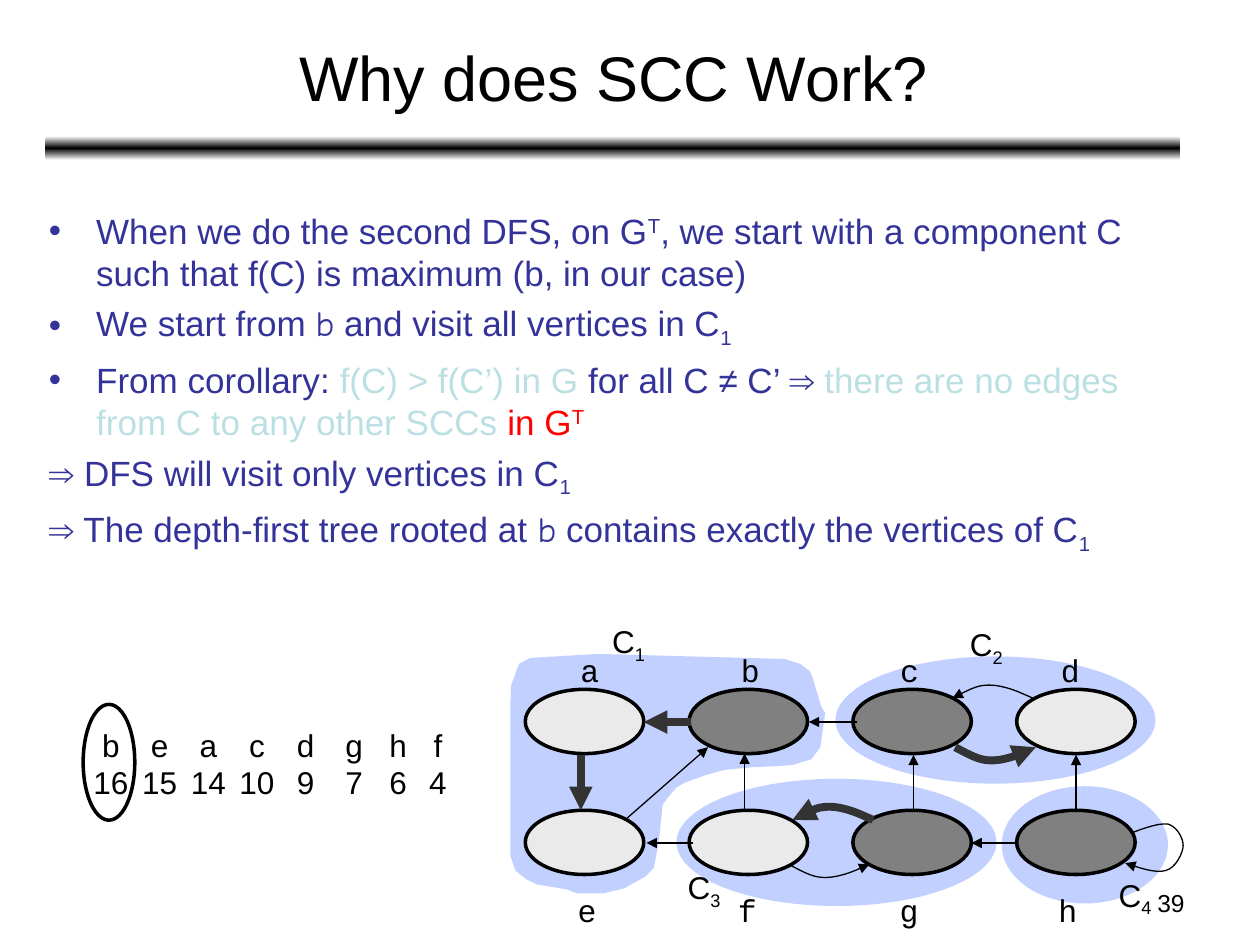
import copy
from dataclasses import dataclass
from typing import NamedTuple

import lxml.etree
import pptx
import pptx.dml.color
import pptx.enum.shapes
import pptx.enum.text
import pptx.oxml.ns
import pptx.util

Pt = pptx.util.Pt
qn = pptx.oxml.ns.qn
Kind = pptx.enum.shapes.MSO_SHAPE
Align = pptx.enum.text.PP_ALIGN


@dataclass(frozen=True)
class Theme:
    black: str = "000000"
    white: str = "FFFFFF"
    navy: str = "333399"
    pale: str = "BBE0E3"
    red: str = "FF0000"
    cloud: str = "3366FF"
    dark: str = "808080"
    light: str = "EAEAEA"
    bold_ink: str = "333333"
    sans: str = "Arial"
    mono: str = "Courier New"
    comic: str = "Comic Neue"
    title: float = 36
    body: float = 20
    label: float = 18
    page: float = 14
    thin: float = 0.75
    ring: float = 2
    thick: float = 4.5


LOOK = Theme()


class Run(NamedTuple):
    text: str
    tint: str | None = None
    base: int = 0  # shift from the baseline, in percent
    font: str | None = None


class Node(NamedTuple):
    name: str
    col: int
    row: int
    fill: str
    name_x: float


class Edge(NamedTuple):
    start: tuple[float, float]
    end: tuple[float, float]
    bold: bool = False


class Arc(NamedTuple):
    x: float
    y: float
    up: bool
    left: bool
    bold: bool = False


SUB = Run("1", base=-25)
SUPER = Run("T", base=30)
B_RUN = Run("b", font=LOOK.comic)
POINTS = [
    [Run("When we do the second DFS, on G"), SUPER,
     Run(", we start with a component C such that f(C) is maximum (b, in our case)")],
    [Run("We start from "), B_RUN, Run(" and visit all vertices in C"), SUB],
    [Run("From corollary: "), Run("f(C) > f(C’) in G ", LOOK.pale), Run("for all C ≠ C’ ⇒ "),
     Run("there are no edges from C to any other SCCs ", LOOK.pale),
     Run("in G", LOOK.red), SUPER._replace(tint=LOOK.red)],
]
RESULTS = [
    [Run("⇒ DFS will visit only vertices in C"), SUB],
    [Run("⇒ The depth-first tree rooted at "), B_RUN,
     Run(" contains exactly the vertices of C"), SUB],
]
NODES = [
    Node("a", 0, 0, LOOK.light, 337), Node("b", 1, 0, LOOK.dark, 428.8),
    Node("c", 2, 0, LOOK.dark, 519.8), Node("d", 3, 0, LOOK.light, 611.6),
    Node("e", 0, 1, LOOK.light, 335.5), Node("f", 1, 1, LOOK.light, 427),
    Node("g", 2, 1, LOOK.dark, 519.5), Node("h", 3, 1, LOOK.dark, 610.2),
]
EDGES = [
    Edge((394.6, 412.6), (367.9, 412.6), True), Edge((489.6, 412.6), (462.2, 412.6)),
    Edge((396, 481.7), (369.4, 481.7)), Edge((581.8, 481.7), (555.1, 481.7)),
    Edge((331.9, 431.3), (331.9, 463), True), Edge((425.5, 462.2), (425.5, 430.6)),
    Edge((522, 463), (522, 431.3)), Edge((614.9, 463), (614.9, 431.3)),
    Edge((357.8, 468), (404.6, 427)),
]
ARCS = [
    Arc(452.9, 468.5, True, True, True), Arc(544.3, 399, True, True),
    Arc(545.8, 427, False, False, True), Arc(450.7, 493.9, False, False),
]
BUMP = [(0, 0), (5.8, 3), (11.5, 6.3), (16.7, 7.2), (21.7, 8),
        (26.6, 7.2), (31.5, 5.8), (36.5, 4.4), (41, 2.2), (46.1, 0)]
LOOP = [(646.6, 475.9), (654.5, 473), (662.4, 470.2), (667.4, 470.9), (672.5, 472.3),
        (676.1, 478.8), (676.1, 483.1), (676.1, 487.4), (671.8, 496.1), (666, 497.5),
        (660.2, 499), (651.6, 496.1), (643, 493.2)]
BLOB = [(303, 376), (342, 373.7), (448.6, 376.6), (457.2, 379.4), (463, 383.8),
        (464.4, 387.4), (469.4, 404), (471.6, 407.5), (468.8, 427), (463.8, 433.8),
        (453.6, 437), (445, 437.8), (429.1, 438.5), (414, 440), (403.9, 442.8),
        (391.7, 447.1), (386.6, 450), (381.6, 455.8), (378.7, 460), (376.6, 480.2),
        (373.7, 496), (368.6, 501.1), (360.7, 505.4), (357, 507.6), (344.9, 510.5),
        (329.8, 510.5), (324, 508.3), (306.7, 505.4), (301, 502.6), (294.5, 497.5),
        (291.6, 488.9), (291.6, 404.6), (292, 392), (296.6, 379.4)]
CLOUDS = [(572.4, 449.3, 95, 67), (477.4, 375.1, 182.9, 72.7), (386.6, 445, 182.9, 72.7)]
GROUPS = [("1", 342.7, 352.1), ("2", 547.2, 353.5), ("3", 385.9, 492.5), ("4", 632.2, 496.8)]
RANKS = [("b", "16"), ("e", "15"), ("a", "14"), ("c", "10"),
         ("d", "9"), ("g", "7"), ("h", "6"), ("f", "4")]
RANK_X = [63.4 + 27.8 * i for i in range(6)] + [227.5, 250.2]


def tone(code: str) -> pptx.dml.color.RGBColor:
    return pptx.dml.color.RGBColor.from_string(code)


def write(shape, rows, *, size=LOOK.label, font=LOOK.sans, tint=LOOK.black, align=Align.LEFT,
          wrap=False, middle=False, gap=0, hang=0, dots=0):
    """Fill a shape with rows of runs; the first `dots` rows get a bullet."""
    frame = shape.text_frame
    frame.word_wrap = wrap
    anchor = pptx.enum.text.MSO_ANCHOR
    frame.vertical_anchor = anchor.MIDDLE if middle else anchor.TOP
    for i, row in enumerate(rows):
        para = frame.paragraphs[0] if i == 0 else frame.add_paragraph()
        para.alignment = align
        props = para._p.get_or_add_pPr()
        if hang:
            props.set("marL", str(Pt(hang)))
            props.set("indent", str(-Pt(hang)))
        if i < dots:
            color = lxml.etree.SubElement(props, qn("a:buClr"))
            lxml.etree.SubElement(color, qn("a:srgbClr"), val=tint)
            lxml.etree.SubElement(props, qn("a:buFont"), typeface=font)
            lxml.etree.SubElement(props, qn("a:buChar"), char="•")
        if gap and i:
            para.space_before = Pt(gap)
        for part in row:
            run = para.add_run()
            run.text = part.text
            run.font.size = Pt(size)
            run.font.name = part.font or font
            run.font.color.rgb = tone(part.tint or tint)
            if part.base:
                run.font._element.set("baseline", str(part.base * 1000))


def add_text(slide, x: float, y: float, w: float, h: float, rows, **form):
    box = slide.shapes.add_textbox(Pt(x), Pt(y), Pt(w), Pt(h))
    write(box, rows, **form)


def paint(shape, fill=None, line=None, width=LOOK.ring, alpha=100):
    shape.shadow.inherit = False
    if fill:
        shape.fill.solid()
        shape.fill.fore_color.rgb = tone(fill)
        if alpha < 100:
            color = shape._element.spPr.find(".//" + qn("a:srgbClr"))
            lxml.etree.SubElement(color, qn("a:alpha"), val=str(alpha * 1000))
    else:
        shape.fill.background()
    if line:
        shape.line.color.rgb = tone(line)
        shape.line.width = Pt(width)
    else:
        shape.line.fill.background()


def add_oval(slide, x: float, y: float, w: float, h: float, **form):
    paint(slide.shapes.add_shape(Kind.OVAL, Pt(x), Pt(y), Pt(w), Pt(h)), **form)


def outline(slide, spots, close: bool):
    spots = [(Pt(x), Pt(y)) for x, y in spots]
    maker = slide.shapes.build_freeform(*spots[0], scale=1.0)
    maker.add_line_segments(spots[1:], close=close)
    return maker.convert_to_shape()


def tip(shape):
    lxml.etree.SubElement(shape.line._get_or_add_ln(), qn("a:tailEnd"), type="triangle")


def pen(bold: bool) -> tuple[str, float]:
    return (LOOK.bold_ink, LOOK.thick) if bold else (LOOK.black, LOOK.thin)


def add_edge(slide, edge: Edge):
    straight = pptx.enum.shapes.MSO_CONNECTOR.STRAIGHT
    line = slide.shapes.add_connector(straight, *map(Pt, edge.start + edge.end))
    ink, width = pen(edge.bold)
    line.line.color.rgb = tone(ink)
    line.line.width = Pt(width)
    lxml.etree.SubElement(line._element.spPr, qn("a:effectLst"))
    tip(line)


def smooth(knots, steps=8):
    """Sample a chain of cubic curves that share their end knots."""
    spots = [knots[0]]
    for i in range(0, len(knots) - 1, 3):
        for t in (n / steps for n in range(1, steps + 1)):
            mix = ((1 - t) ** 3, 3 * t * (1 - t) ** 2, 3 * t * t * (1 - t), t ** 3)
            spots.append(tuple(sum(m * k[d] for m, k in zip(mix, knots[i:i + 4]))
                               for d in (0, 1)))
    return spots


def add_curve(slide, knots, bold=False):
    curve = outline(slide, smooth(knots), False)
    ink, width = pen(bold)
    paint(curve, line=ink, width=width)
    tip(curve)


def add_arc(slide, arc: Arc):
    sign = -1 if arc.up else 1
    knots = [(arc.x + x, arc.y + sign * y) for x, y in BUMP]
    add_curve(slide, knots[::-1] if arc.left else knots, arc.bold)


def add_rule(slide):
    bar = slide.shapes.add_shape(Kind.ROUNDED_RECTANGLE, Pt(25.9), Pt(77.8), Pt(648.7), Pt(13.7))
    paint(bar)
    bar.fill.gradient()
    bar.fill.gradient_angle = 90
    stops = bar._element.spPr.find(".//" + qn("a:gsLst"))
    stops.append(copy.deepcopy(stops[0]))
    for stop, place, ink in zip(stops, (0, 50, 100), (LOOK.white, LOOK.black, LOOK.white)):
        stop.set("pos", str(place * 1000))
        stop.remove(stop[0])
        lxml.etree.SubElement(stop, qn("a:srgbClr"), val=ink)


def add_graph(slide):
    paint(outline(slide, BLOB, True), fill=LOOK.cloud, alpha=30)
    for cloud in CLOUDS:
        add_oval(slide, *cloud, fill=LOOK.cloud, alpha=30)
    for digit, x, y in GROUPS:
        add_text(slide, x, y, 33.1, 31.7, [[Run("C"), SUB._replace(text=digit)]])
    for node in NODES:
        add_oval(slide, 300.2 + 93.6 * node.col, 393.9 + 69.1 * node.row, 67.7, 36.7,
                 fill=node.fill, line=LOOK.black)
        add_text(slide, node.name_x - 12.6, (368.6, 505.4)[node.row], 25.2, 28.8,
                 [[Run(node.name)]], font=LOOK.mono, align=Align.CENTER)
    for edge in EDGES:
        add_edge(slide, edge)
    for arc in ARCS:
        add_arc(slide, arc)
    add_curve(slide, LOOP)


def main():
    deck = pptx.Presentation()
    deck.slide_width, deck.slide_height = Pt(720), Pt(540)
    slide = deck.slides.add_slide(deck.slide_layouts[5])
    title = slide.shapes.title
    title.left, title.top, title.width, title.height = map(Pt, (26.6, 7.9, 648, 71.3))
    write(title, [[Run("Why does SCC Work?")]], size=LOOK.title, align=Align.CENTER,
          wrap=True, middle=True)
    add_rule(slide)
    add_text(slide, 20.9, 115.9, 648, 280.8, POINTS + RESULTS, size=LOOK.body,
             tint=LOOK.navy, wrap=True, gap=5, hang=27, dots=len(POINTS))
    add_graph(slide)
    for (name, time), x in zip(RANKS, RANK_X):
        add_text(slide, x - 17.3, 411.1, 34.6, 50.4, [[Run(name)], [Run(time)]],
                 align=Align.CENTER)
    add_oval(slide, 47.5, 402.5, 29.5, 66.2, line=LOOK.black)
    add_text(slide, 516.2, 504, 167.8, 25.2, [[Run("39")]], size=LOOK.page,
             align=Align.RIGHT, wrap=True)
    deck.save("out.pptx")


if __name__ == "__main__":
    main()
